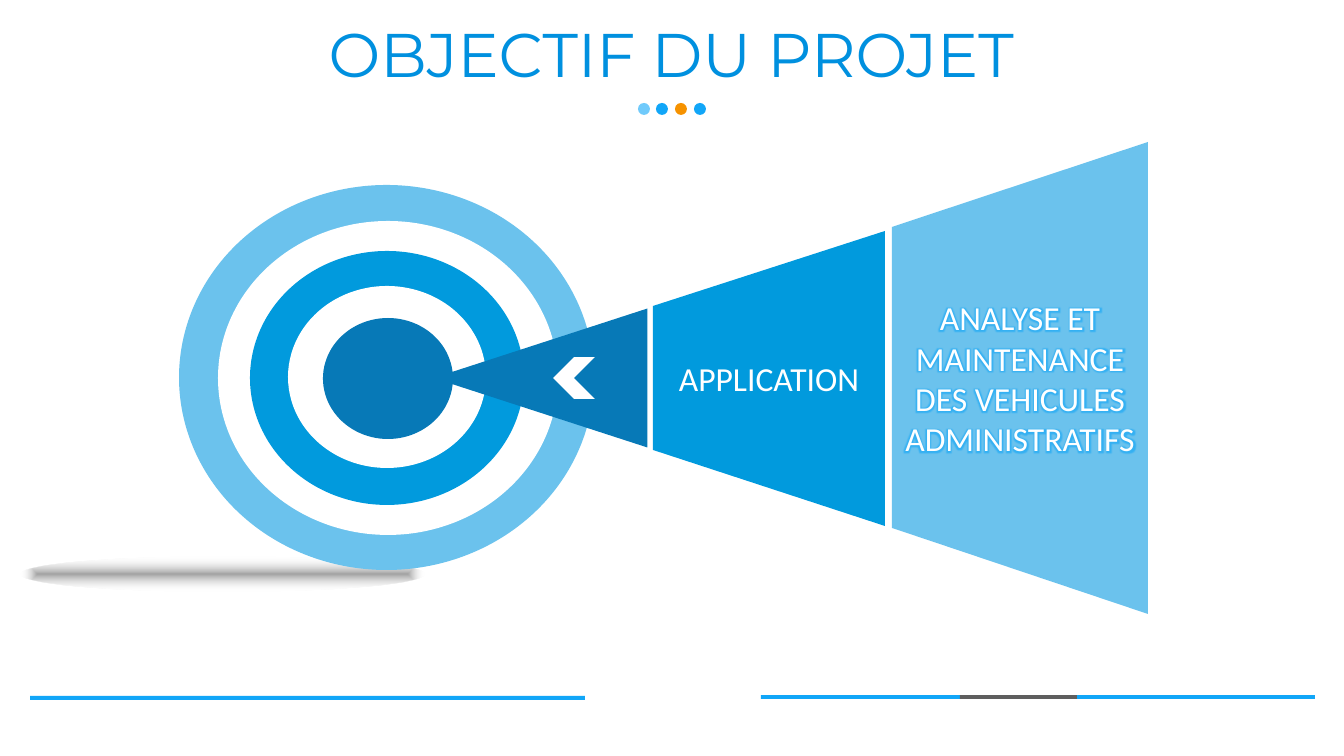
import pptx
import pptx.dml.color
import pptx.enum.shapes
import pptx.enum.text
import pptx.oxml
import pptx.oxml.ns
import pptx.util
from dataclasses import dataclass


@dataclass(frozen=True)
class Theme:
    title: str = "0090DF"
    accent: str = "11A6F8"
    light: str = "70CAFB"
    orange: str = "F69200"
    gray: str = "5E5E5E"
    sky: str = "6BC2ED"
    blue: str = "019ADD"
    deep: str = "0779B7"
    white: str = "FFFFFF"
    shade: str = "0D0D0D"
    title_size: int = 44
    label_size: int = 24
    title_font: str = "Montserrat"
    label_font: str = "Calibri"


THEME = Theme()
PX = 914400 / 100.8
SHAPE = pptx.enum.shapes.MSO_SHAPE
NS = pptx.oxml.ns.nsdecls("a")

presentation = pptx.Presentation()
presentation.slide_width = round(1344 * PX)
presentation.slide_height = round(756 * PX)
slide = presentation.slides.add_slide(presentation.slide_layouts[5])


def add_flat(kind, box, color):
    """Add a preset shape with a plain fill, no outline and no shadow."""
    shape = slide.shapes.add_shape(kind, *(round(n * PX) for n in box))
    shape.fill.solid()
    shape.fill.fore_color.rgb = pptx.dml.color.RGBColor.from_string(color)
    shape.line.fill.background()
    shape.shadow.inherit = False
    return shape


def write_centered(frame, text, font, size, color):
    frame.word_wrap = True
    frame.vertical_anchor = pptx.enum.text.MSO_ANCHOR.MIDDLE
    paragraph = frame.paragraphs[0]
    paragraph.alignment = pptx.enum.text.PP_ALIGN.CENTER
    run = paragraph.add_run()
    run.text = text
    run.font.size = pptx.util.Pt(size)
    run.font.color.rgb = pptx.dml.color.RGBColor.from_string(color)
    run.font.name = font
    return run


# Title and the dots below it
title = slide.shapes.title
title.left, title.top, title.width, title.height = (
    round(n * PX) for n in (144, 0, 1055, 116))
write_centered(title.text_frame, "OBJECTIF DU PROJET",
               THEME.title_font, THEME.title_size, THEME.title)
title.text_frame.paragraphs[0].line_spacing = 0.9

for i, color in enumerate((THEME.light, THEME.accent, THEME.orange, THEME.accent)):
    add_flat(SHAPE.OVAL, (638 + i * 56 // 3, 103, 12, 12), color)

# Footer bars
for left, top, width, color in (
    (30, 696, 555, THEME.accent),
    (761, 695, 199, THEME.accent),
    (960, 695, 118, THEME.gray),
    (1077, 695, 238, THEME.accent),
):
    add_flat(SHAPE.RECTANGLE, (left, top, width, 4), color)

# Soft shadow on the ground
ground = add_flat(SHAPE.OVAL, (21, 557, 403, 34), THEME.shade)
solid_fill = ground.element.spPr.find(pptx.oxml.ns.qn("a:solidFill"))
solid_fill.getparent().replace(solid_fill, pptx.oxml.parse_xml(
    f'<a:gradFill {NS}><a:gsLst>'
    f'<a:gs pos="0"><a:srgbClr val="{THEME.shade}"><a:alpha val="38000"/></a:srgbClr></a:gs>'
    f'<a:gs pos="100000"><a:srgbClr val="{THEME.white}"><a:alpha val="0"/></a:srgbClr></a:gs>'
    '</a:gsLst><a:path path="shape">'
    '<a:fillToRect l="50000" t="50000" r="50000" b="50000"/></a:path></a:gradFill>'))

# Target
for *box, color in (
    (179, 185, 415, 385, THEME.sky),
    (218, 221, 340, 314, THEME.white),
    (250, 251, 274, 254, THEME.blue),
    (288, 286, 198, 182, THEME.white),
    (323, 318, 130, 121, THEME.deep),
    (352, 345, 72, 66, THEME.deep),
):
    add_flat(SHAPE.OVAL, box, color)

# Widening beam, from the far panel to the tip
for corners, color, text, glows in (
    (((892, 227), (1148, 142), (1148, 614), (892, 528)), THEME.sky,
     "ANALYSE ET MAINTENANCE DES VEHICULES ADMINISTRATIFS", True),
    (((653, 306), (885, 231), (885, 526), (653, 450)), THEME.blue,
     "APPLICATION", False),
):
    outline = slide.shapes.build_freeform(*corners[0], scale=PX)
    outline.add_line_segments(corners[1:], close=True)
    panel = outline.convert_to_shape()
    panel.fill.solid()
    panel.fill.fore_color.rgb = pptx.dml.color.RGBColor.from_string(color)
    panel.line.fill.background()
    panel.shadow.inherit = False
    label = write_centered(panel.text_frame, text,
                           THEME.label_font, THEME.label_size, THEME.white)
    if glows:
        label.font.fill.fore_color  # the glow follows the text fill
        text_fill = label.font._element.find(pptx.oxml.ns.qn("a:solidFill")) \
            if hasattr(label.font, "_element") else label._r.rPr.find(pptx.oxml.ns.qn("a:solidFill"))
        text_fill.addnext(pptx.oxml.parse_xml(
            f'<a:effectLst {NS}><a:glow rad="76200"><a:srgbClr val="{THEME.accent}">'
            '<a:alpha val="60000"/></a:srgbClr></a:glow></a:effectLst>'))

tip = add_flat(SHAPE.ISOSCELES_TRIANGLE, (471, 271, 139, 214), THEME.deep)
tip.rotation = 270
arrow = add_flat(SHAPE.CHEVRON, (553, 357, 42, 42), THEME.white)
arrow.rotation = 180

presentation.save("out.pptx")
